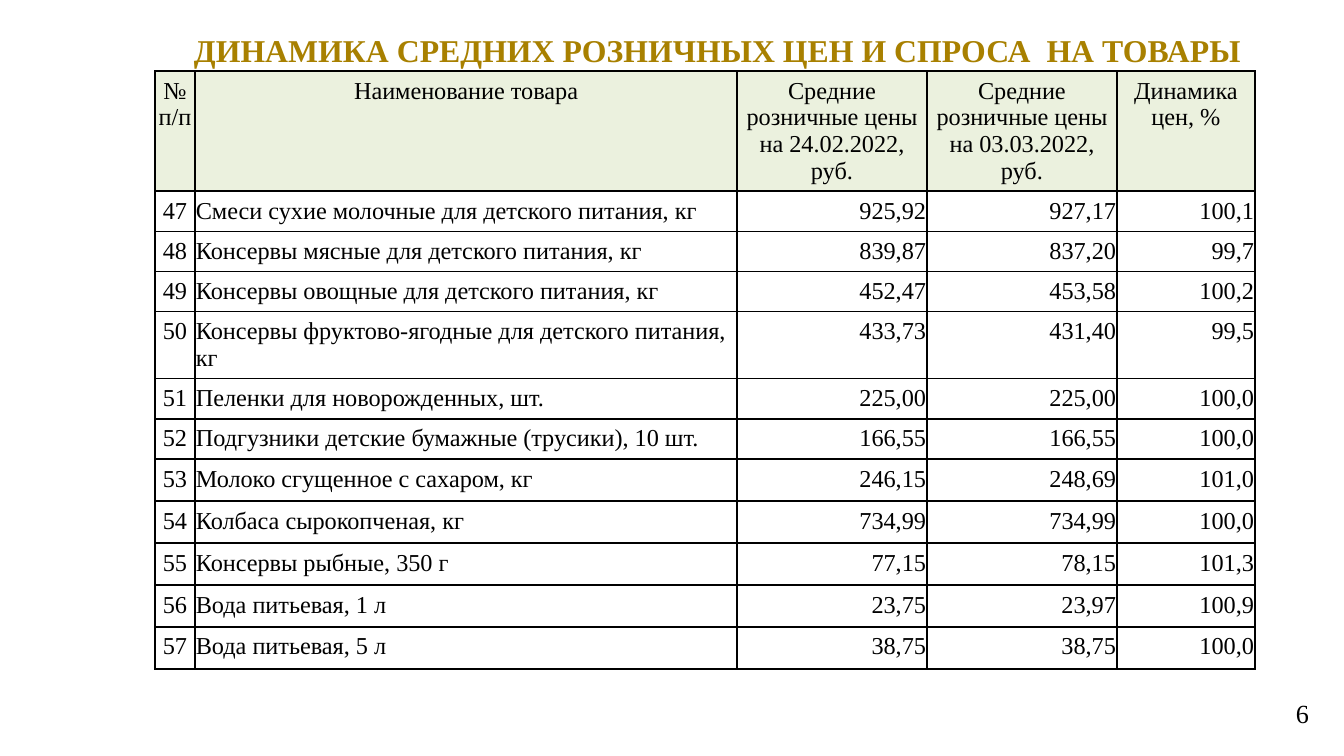
from lxml import etree
from pptx import Presentation
from pptx.dml.color import RGBColor
from pptx.enum.text import MSO_ANCHOR, MSO_AUTO_SIZE, PP_ALIGN
from pptx.oxml.ns import qn
from pptx.util import Pt

LEFT, CENTER, RIGHT = PP_ALIGN.LEFT, PP_ALIGN.CENTER, PP_ALIGN.RIGHT
MIDDLE = MSO_ANCHOR.MIDDLE
NO_AUTOFIT = MSO_AUTO_SIZE.NONE
FONT = "Times New Roman"
COLORS = {"title": "A88000", "text": "000000", "border": "000000",
          "header": "EBF1DE", "body": "FFFFFF"}
EMU_PER_PX = 914400 / 134.4


def px(length):
    return round(length * EMU_PER_PX)


def format_text(frame, size, color, alignment, bold=False):
    for para in frame.paragraphs:
        para.alignment = alignment
        for span in para.runs:
            span.font.name = FONT
            span.font.size = Pt(size)
            span.font.bold = bold
            span.font.color.rgb = RGBColor.from_string(COLORS[color])


deck = Presentation()
deck.slide_width, deck.slide_height = px(1344), px(756)
page = deck.slides.add_slide(deck.slide_layouts[5])

# Title
title = page.shapes.title
title.left, title.top, title.width, title.height = px(151), px(22), px(1159), px(55)
frame = title.text_frame
frame.text = "ДИНАМИКА СРЕДНИХ РОЗНИЧНЫХ ЦЕН И СПРОСА  НА ТОВАРЫ"
frame.auto_size = NO_AUTOFIT
frame.vertical_anchor = MIDDLE
frame.margin_left, frame.margin_right = px(13), px(39)
format_text(frame, 17, "title", CENTER, bold=True)

# Price table
ROWS = [
    ("№ п/п", "Наименование товара", "Средние розничные цены на 24.02.2022, руб.",
     "Средние розничные цены на 03.03.2022, руб.", "Динамика цен, %"),
    ("47", "Смеси сухие молочные для детского питания, кг", "925,92", "927,17", "100,1"),
    ("48", "Консервы мясные для детского питания, кг", "839,87", "837,20", "99,7"),
    ("49", "Консервы овощные для детского питания, кг", "452,47", "453,58", "100,2"),
    ("50", "Консервы фруктово-ягодные для детского питания, кг", "433,73", "431,40", "99,5"),
    ("51", "Пеленки для новорожденных, шт.", "225,00", "225,00", "100,0"),
    ("52", "Подгузники детские бумажные (трусики), 10 шт.", "166,55", "166,55", "100,0"),
    ("53", "Молоко сгущенное с сахаром, кг", "246,15", "248,69", "101,0"),
    ("54", "Колбаса сырокопченая, кг", "734,99", "734,99", "100,0"),
    ("55", "Консервы рыбные, 350 г", "77,15", "78,15", "101,3"),
    ("56", "Вода питьевая, 1 л", "23,75", "23,97", "100,9"),
    ("57", "Вода питьевая, 5 л", "38,75", "38,75", "100,0"),
]
COLUMN_WIDTHS = [40, 542, 190, 190, 138]
ROW_HEIGHTS = [120] + [40] * 3 + [67] + [40] * 2 + [42] * 5
BODY_ALIGNMENTS = [CENTER, LEFT, RIGHT, RIGHT, RIGHT]

table = page.shapes.add_table(
    len(ROWS), len(COLUMN_WIDTHS), px(155), px(71),
    px(sum(COLUMN_WIDTHS)), px(sum(ROW_HEIGHTS))).table
table.first_row = False
table.horz_banding = False
for column, width in zip(table.columns, COLUMN_WIDTHS):
    column.width = px(width)

for row_index, values in enumerate(ROWS):
    table.rows[row_index].height = px(ROW_HEIGHTS[row_index])
    is_header = row_index == 0
    for column_index, value in enumerate(values):
        cell = table.cell(row_index, column_index)
        cell.text_frame.text = value
        cell.margin_left = cell.margin_right = px(1)
        alignment = CENTER if is_header else BODY_ALIGNMENTS[column_index]
        format_text(cell.text_frame, 13, "text", alignment)

        # Borders come before the fill in the cell properties
        properties = cell._tc.get_or_add_tcPr()
        for side in ("a:lnL", "a:lnR", "a:lnT", "a:lnB"):
            border = etree.SubElement(properties, qn(side), w=str(Pt(0.96)))
            fill = etree.SubElement(border, qn("a:solidFill"))
            etree.SubElement(fill, qn("a:srgbClr"), val=COLORS["border"])
        cell.fill.solid()
        cell.fill.fore_color.rgb = RGBColor.from_string(
            COLORS["header" if is_header else "body"])

# Page number
number_box = page.shapes.add_textbox(px(1282), px(691), px(34), px(60))
frame = number_box.text_frame
frame.text = "6"
frame.word_wrap = True
frame.margin_left = frame.margin_right = px(7)
format_text(frame, 14, "text", RIGHT)

deck.save("out.pptx")
